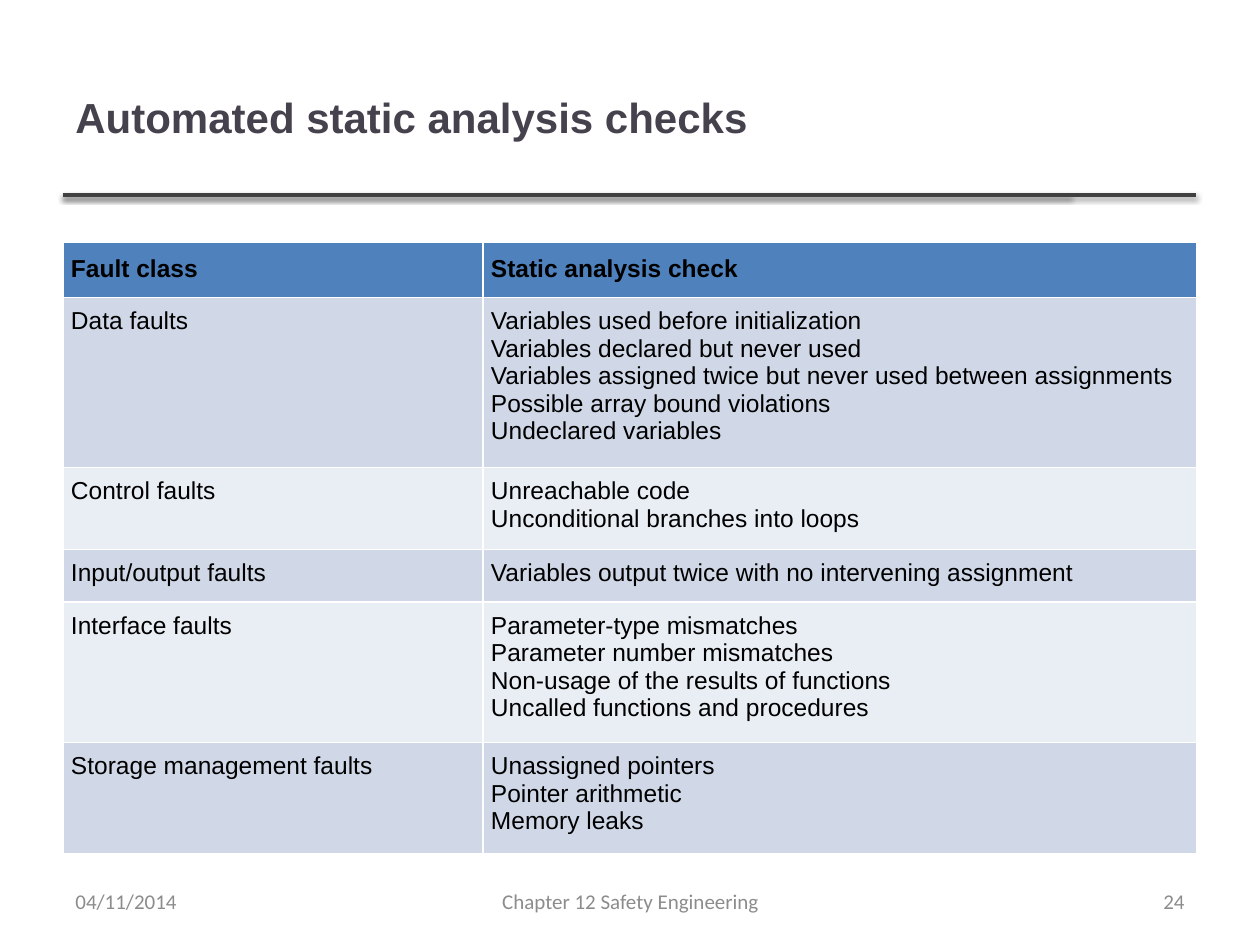
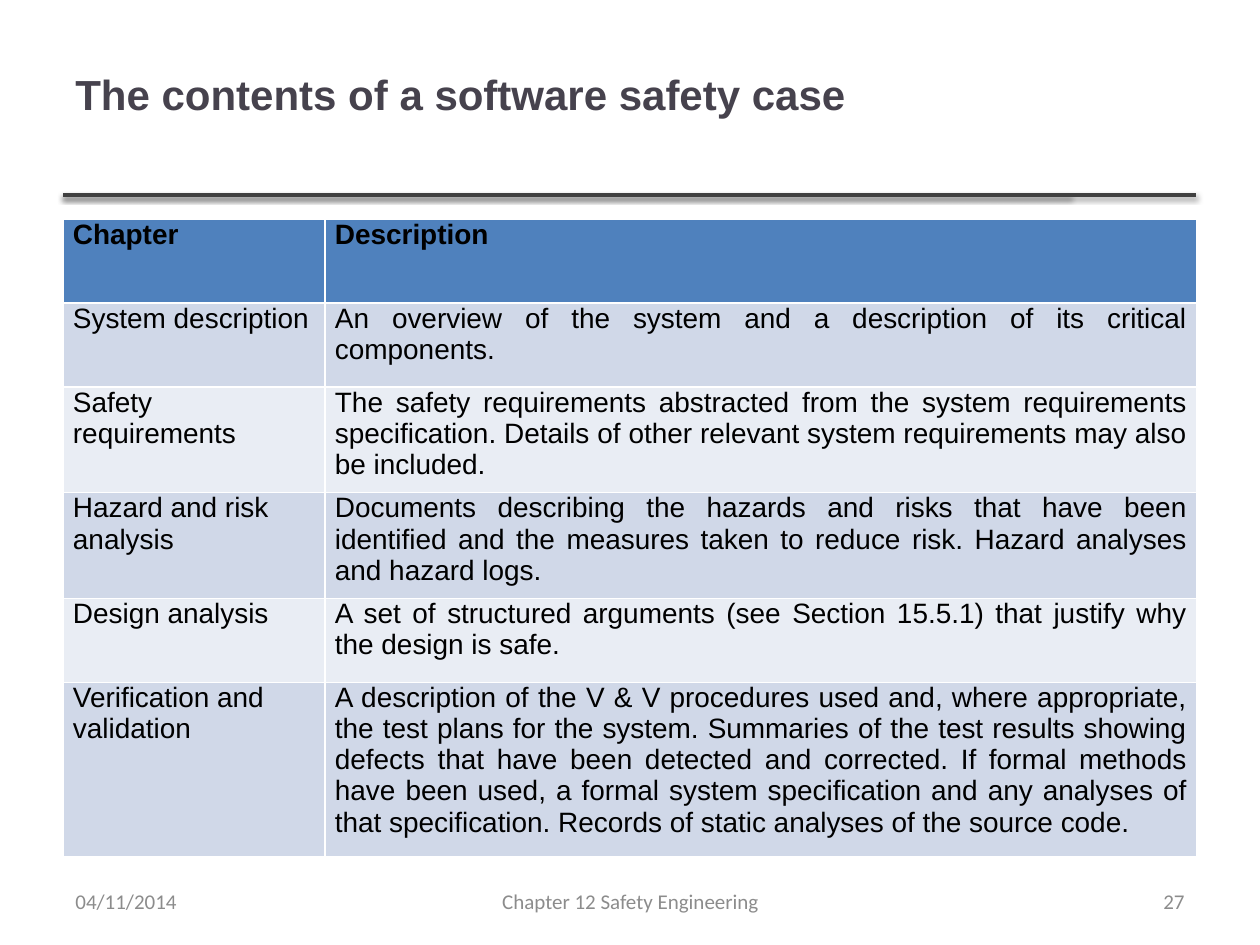
from lxml import etree
from pptx import Presentation
from pptx.dml.color import RGBColor
from pptx.enum.shapes import MSO_CONNECTOR
from pptx.enum.text import MSO_ANCHOR, PP_ALIGN
from pptx.oxml import parse_xml
from pptx.util import Emu, Pt

TITLE, RULE, FOOTER, TEXT = "46424D", "404040", "8C8C8C", "000000"
HEADER, BANDS = "4F81BD", ["D0D8E8", "E9EDF4"]
LEFT, CENTER, RIGHT, JUSTIFY = PP_ALIGN.LEFT, PP_ALIGN.CENTER, PP_ALIGN.RIGHT, PP_ALIGN.JUSTIFY
SHADOW = """<a:effectLst xmlns:a="http://schemas.openxmlformats.org/drawingml/2006/main">
<a:outerShdw blurRad="40000" dist="20000" dir="5400000" rotWithShape="0">
<a:srgbClr val="000000"><a:alpha val="38000"/></a:srgbClr></a:outerShdw></a:effectLst>"""


def px(n):
    return Emu(round(n * 914400 / 126))


def write(tf, text, size, font, color, align, bold=False):
    tf.word_wrap = True
    tf.text = text
    for p in tf.paragraphs:
        p.alignment = align
        for r in p.runs:
            r.font.size = Pt(size)
            r.font.name = font
            r.font.bold = bold
            r.font.color.rgb = RGBColor.from_string(color)


slides = [
    {
        "title": "Automated static analysis checks", "title_box": (63, 38, 1006, 157),
        "number": "24", "top": 242, "cols": [420, 714], "rows": [52, 160, 78, 51, 133, 104],
        "size": 14, "first_align": JUSTIFY, "side": 8, "head_top": 13, "body_top": 10, "bottom": 13,
        "cells": [
            ("Fault class", "Static analysis check"),
            ("Data faults", "Variables used before initialization\nVariables declared but never used\n"
             "Variables assigned twice but never used between assignments\n"
             "Possible array bound violations\nUndeclared variables"),
            ("Control faults", "Unreachable code\nUnconditional branches into loops"),
            ("Input/output faults", "Variables output twice with no intervening assignment"),
            ("Interface faults", "Parameter-type mismatches\nParameter number mismatches\n"
             "Non-usage of the results of functions\nUncalled functions and procedures"),
            ("Storage management faults", "Unassigned pointers\nPointer arithmetic\nMemory leaks"),
        ],
    },
    {
        "title": "The contents of a software safety case", "title_box": (63, 15, 1134, 157),
        "number": "27", "top": 219, "cols": [262, 872], "rows": [84, 84, 98, 98, 84, 174],
        "size": 16, "first_align": LEFT, "side": 10, "head_top": 0, "body_top": 0, "bottom": 5,
        "cells": [
            ("Chapter", "Description"),
            ("System description", "An overview of the system and a description of its critical components."),
            ("Safety requirements", "The safety requirements abstracted from the system requirements "
             "specification. Details of other relevant system requirements may also be included."),
            ("Hazard and risk analysis", "Documents describing the hazards and risks that have been "
             "identified and the measures taken to reduce risk. Hazard analyses and hazard logs."),
            ("Design analysis", "A set of structured arguments (see Section 15.5.1) that justify why "
             "the design is safe."),
            ("Verification and validation", "A description of the V & V procedures used and, where "
             "appropriate, the test plans for the system. Summaries of the test results showing defects "
             "that have been detected and corrected. If formal methods have been used, a formal system "
             "specification and any analyses of that specification. Records of static analyses of the "
             "source code."),
        ],
    },
]

prs = Presentation()
prs.slide_width, prs.slide_height = px(1260), px(945)

for data in slides:
    s = prs.slides.add_slide(prs.slide_layouts[6])

    for end in (1070, 1196):
        line = s.shapes.add_connector(MSO_CONNECTOR.STRAIGHT, px(63), px(195), px(end), px(195))
        line.line.color.rgb = RGBColor.from_string(RULE)
        line.line.width = Pt(2)
        line._element.spPr.append(parse_xml(SHADOW))

    texts = [
        (data["title_box"], data["title"], 24, "Arial", TITLE, LEFT, True),
        ((903, 876, 294, 50), data["number"], 12, "Calibri", FOOTER, RIGHT, False),
        ((431, 876, 399, 50), "Chapter 12 Safety Engineering", 12, "Calibri", FOOTER, CENTER, False),
        ((63, 876, 294, 50), "04/11/2014", 12, "Calibri", FOOTER, LEFT, False),
    ]
    for box, *style in texts:
        sp = s.shapes.add_textbox(*map(px, box))
        sp.text_frame.vertical_anchor = MSO_ANCHOR.MIDDLE
        write(sp.text_frame, *style)

    cols, rows = data["cols"], data["rows"]
    table = s.shapes.add_table(len(rows), len(cols), px(63), px(data["top"]),
                               px(sum(cols)), px(sum(rows))).table
    for i, width in enumerate(cols):
        table.columns[i].width = px(width)
    for i, height in enumerate(rows):
        table.rows[i].height = px(height)
        head = i == 0
        for j, text in enumerate(data["cells"][i]):
            cell = table.cell(i, j)
            cell.margin_left = cell.margin_right = px(data["side"])
            cell.margin_top = px(data["head_top"] if head else data["body_top"])
            cell.margin_bottom = px(data["bottom"])
            cell.fill.solid()
            cell.fill.fore_color.rgb = RGBColor.from_string(HEADER if head else BANDS[(i - 1) % 2])
            align = JUSTIFY if head or j else data["first_align"]
            write(cell.text_frame, text, data["size"], "Arial", TEXT, align, head)

prs.save("out.pptx")
